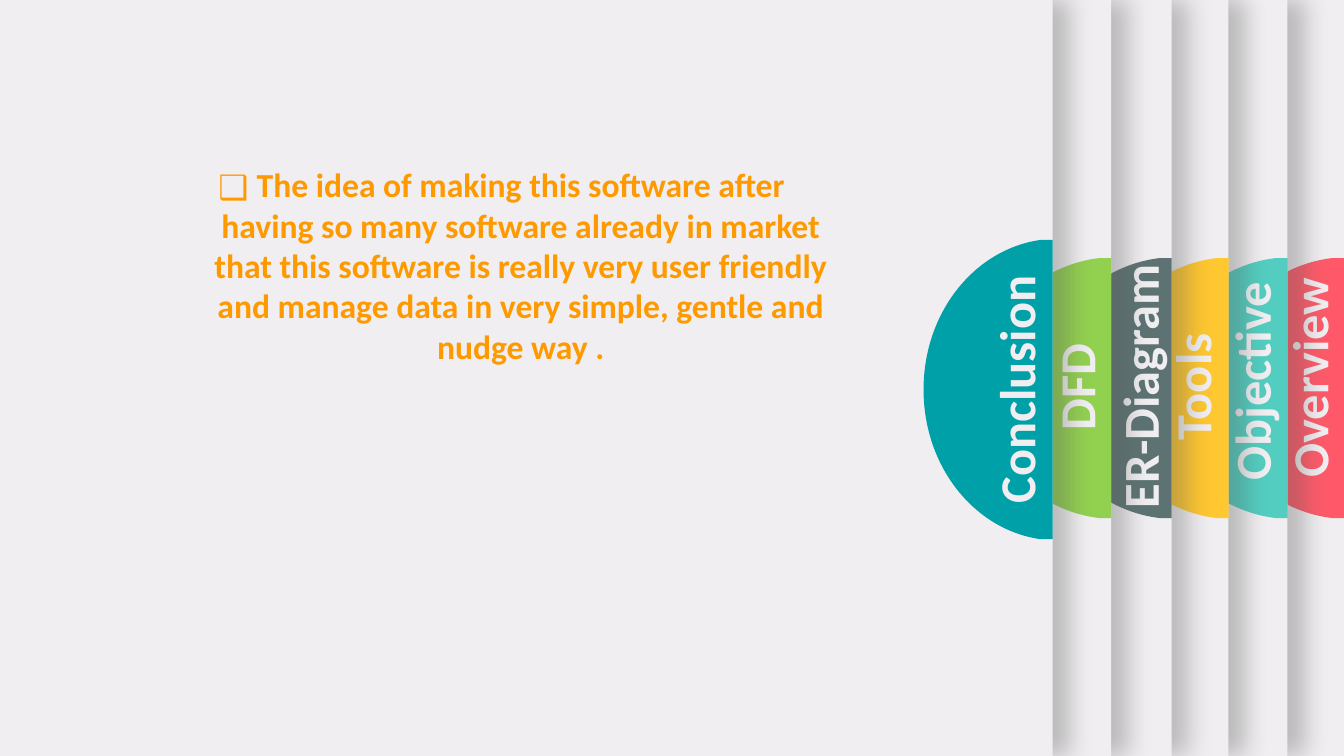
from lxml.etree import SubElement
from pptx import Presentation
from pptx.dml.color import RGBColor
from pptx.enum.shapes import MSO_SHAPE as SHAPE
from pptx.enum.text import MSO_ANCHOR as ANCHOR, MSO_AUTO_SIZE as AUTO, PP_ALIGN as ALIGN
from pptx.oxml.ns import qn
from pptx.util import Inches, Pt

PAPER = RGBColor(0xF0, 0xEE, 0xF0)
ORANGE = RGBColor(0xFF, 0x99, 0x00)
RED = RGBColor(0xFF, 0x59, 0x69)
MINT = RGBColor(0x52, 0xCD, 0xC0)
YELLOW = RGBColor(0xFF, 0xC7, 0x30)
SLATE = RGBColor(0x5D, 0x73, 0x73)
GREEN = RGBColor(0x92, 0xD0, 0x50)
TEAL = RGBColor(0x00, 0xA0, 0xA8)
SHADE = RGBColor(0x59, 0x59, 0x59)

FONT = "Calibri"
BULLET_FONT = "Noto Sans Symbols"
CELL = Inches(0.1)
ROWS = 75
TAB_COLS = 12.8
LABEL_ROWS = 7.1
TAB_OUTLINE = [(1, 0), (1, 1), (0.91, 1),
               (0.4, 0.97), (0, 0.76), (0, 0.5),
               (0, 0.24), (0.4, 0.03), (0.91, 0)]

TABS = [
    ("Overview", RED, 133.3, 129.8, 37.45, 23.8),
    ("Objective", MINT, 127.7, 124.1, 37.85, 27),
    ("Tools", YELLOW, 121.85, 118.2, 38.4, 21.8),
    ("ER-Diagram", SLATE, 116.2, 113, 38.35, 27.2),
    ("DFD", GREEN, 110.2, 106.7, 38.4, 21.8),
]
CURRENT = ("Conclusion", TEAL, 104.4, 100.75, 38.65, 29.7)
IDEA = ("The idea of making this software after having so many software already in market "
        "that this software is really very user friendly and manage data in very simple, "
        "gentle and nudge way .")


def write(sp, text, size=36, color=PAPER, bullet=None, indent=0):
    """Fill a shape with one centred bold paragraph."""
    tf = sp.text_frame
    tf.word_wrap = True
    tf.auto_size = AUTO.NONE
    tf.vertical_anchor = ANCHOR.TOP
    p = tf.paragraphs[0]
    p.alignment = ALIGN.CENTER
    if bullet:
        pPr = p._p.get_or_add_pPr()
        pPr.set("marL", str(indent))
        pPr.set("indent", str(-indent))
        SubElement(pPr, qn("a:buFont"), typeface=BULLET_FONT)
        SubElement(pPr, qn("a:buChar"), char=bullet)
    r = p.add_run()
    r.text = text
    r.font.name, r.font.size, r.font.bold = FONT, Pt(size), True
    r.font.color.rgb = color


def curve(sp, first):
    """Turn the lines from the given one on, three by three, into cubic curves."""
    lines = list(sp.element.iter(qn("a:lnTo")))[first:]
    for i in range(0, len(lines), 3):
        bend, *rest = lines[i:i + 3]
        bend.tag = qn("a:cubicBezTo")
        for line in rest:
            bend.append(line[0])
            line.getparent().remove(line)


class Deck:
    """Holds the style and the current slide, measured in grid cells."""

    def __init__(self):
        """Start a presentation with one title-only slide."""
        self.prs = Presentation()
        self.prs.slide_width, self.prs.slide_height = Inches(13.33), Inches(7.5)
        self.s = self.prs.slides.add_slide(self.prs.slide_layouts[5])
        self.s.background.fill.solid()
        self.s.background.fill.fore_color.rgb = PAPER

    def paint(self, sp, color):
        """Give a shape a plain fill with no outline or shadow."""
        sp.shadow.inherit = False
        sp.fill.solid()
        sp.fill.fore_color.rgb = color
        sp.line.fill.background()

    def panel(self, right):
        """Add a full-height sheet that casts a shadow to its right."""
        sp = self.s.shapes.add_shape(SHAPE.RECTANGLE, 0, 0, int(right * CELL), ROWS * CELL)
        self.paint(sp, PAPER)
        effects = sp.element.spPr.find(qn("a:effectLst"))
        shadow = SubElement(effects, qn("a:outerShdw"), blurRad=str(Pt(17)), dist=str(Pt(12)),
                            dir="0", algn="l", rotWithShape="0")
        tint = SubElement(shadow, qn("a:srgbClr"), val=str(SHADE))
        SubElement(tint, qn("a:alpha"), val="35000")

    def tab(self, right, top, rows, color):
        """Add a half-round tab whose flat side lies on a sheet's edge."""
        points = [((right - TAB_COLS * (1 - x)) * CELL, (top + rows * y) * CELL)
                  for x, y in TAB_OUTLINE]
        pen = self.s.shapes.build_freeform(*points[0])
        pen.add_line_segments(points[1:], close=True)
        sp = pen.convert_to_shape()
        curve(sp, first=2)
        self.paint(sp, color)

    def text(self, text, left, top, cols, rows, **fmt):
        """Add a text box."""
        box = [int(v * CELL) for v in (left, top, cols, rows)]
        sp = self.s.shapes.add_textbox(*box)
        write(sp, text, **fmt)
        return sp

    def label(self, text, x, y, cols):
        """Add an upward-reading label centred on a point."""
        sp = self.text(text, x - cols / 2, y - LABEL_ROWS / 2, cols, LABEL_ROWS)
        sp.rotation = 270

    def title(self, text, x, y, cols):
        """Turn the title upward, centre it on a point and bring it forward."""
        sp = self.s.shapes.title
        sp.left, sp.top = int((x - cols / 2) * CELL), int((y - LABEL_ROWS / 2) * CELL)
        sp.width, sp.height = int(cols * CELL), int(LABEL_ROWS * CELL)
        sp.rotation = 270
        write(sp, text)
        self.s.shapes.element.append(sp.element)


def main():
    """Build the slide from the back sheet to the front one."""
    deck = Deck()
    for name, color, right, x, y, cols in TABS:
        deck.panel(right)
        deck.tab(right, 25.6, 25.8, color)
        deck.label(name, x, y, cols)
    name, color, right, x, y, cols = CURRENT
    deck.panel(right)
    deck.tab(right, 23.8, 29.7, color)
    deck.title(name, x, y, cols)
    deck.text(IDEA, 16.4, 15.8, 66.7, 21.2, size=24, color=ORANGE,
              bullet="❑", indent=Inches(0.38))
    deck.prs.save("out.pptx")


if __name__ == "__main__":
    main()
